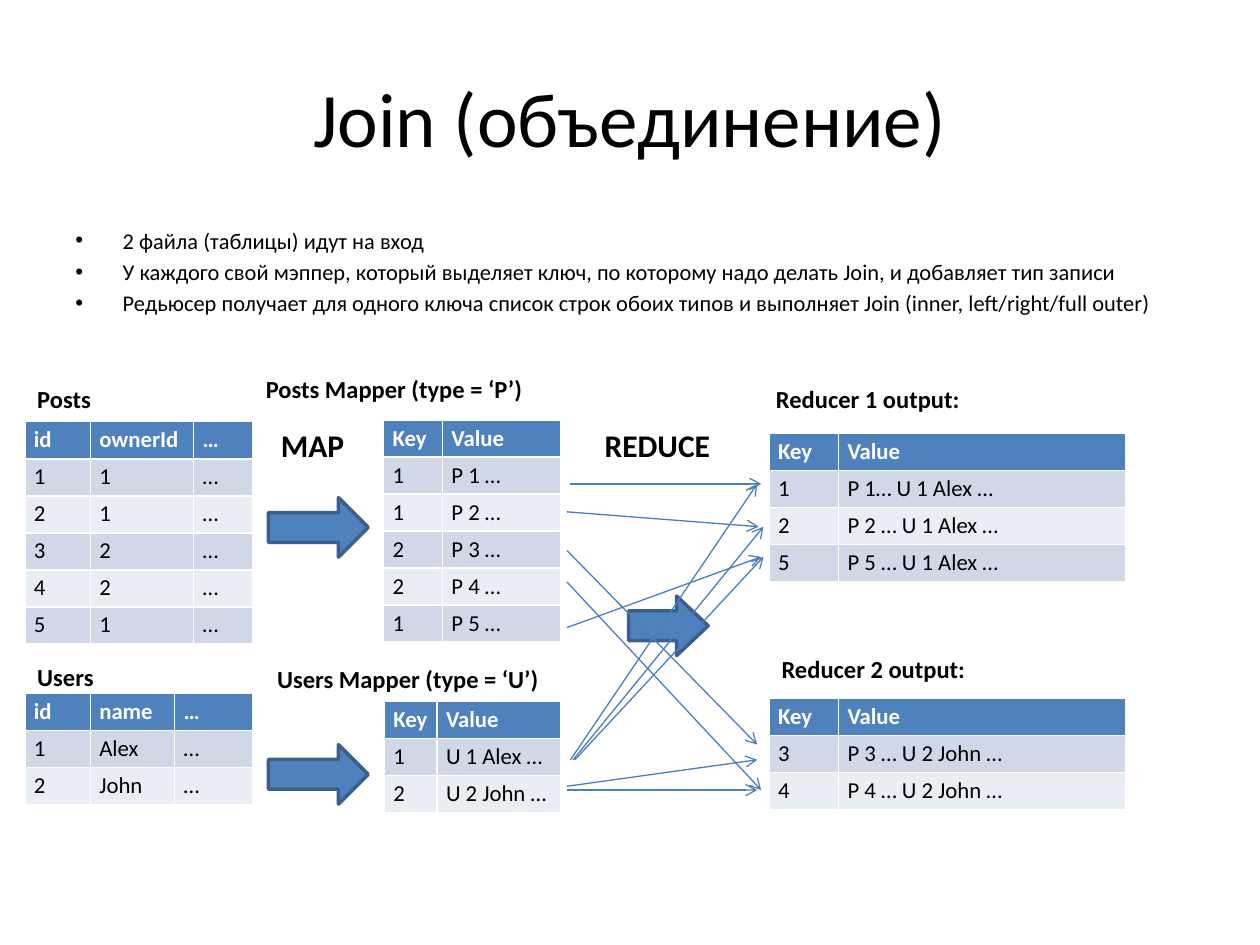
from lxml.etree import SubElement
from pptx import Presentation
from pptx.dml.color import RGBColor
from pptx.enum.shapes import MSO_CONNECTOR, MSO_SHAPE
from pptx.enum.text import MSO_ANCHOR, MSO_AUTO_SIZE, PP_ALIGN
from pptx.oxml.ns import qn
from pptx.util import Pt

COLORS = {
    "text": "000000",
    "header_text": "FFFFFF",
    "accent": "4F81BD",
    "outline": "3A5F8C",
    "link": "4B7EBC",
    "odd_row": "D0D8E8",
    "even_row": "E9EDF4",
}


class JoinSlide:
    font = "Calibri"
    row_height = 21.17
    label_size = 14
    cell_size = 13

    def __init__(self, presentation):
        self.slide = presentation.slides.add_slide(presentation.slide_layouts[5])
        self.shapes = self.slide.shapes

    def color(self, name):
        return RGBColor.from_string(COLORS[name])

    def styled_run(self, paragraph, words, size, color="text", bold=False):
        run = paragraph.add_run()
        run.text = words
        run.font.name = self.font
        run.font.size = Pt(size)
        run.font.bold = bold
        run.font.color.rgb = self.color(color)

    def title(self, words, left, top, width, height):
        heading = self.shapes.title
        heading.left, heading.top = Pt(left), Pt(top)
        heading.width, heading.height = Pt(width), Pt(height)
        heading.text_frame.vertical_anchor = MSO_ANCHOR.MIDDLE
        paragraph = heading.text_frame.paragraphs[0]
        paragraph.alignment = PP_ALIGN.CENTER
        self.styled_run(paragraph, words, 44)

    def bullets(self, lines, left, top, width, height, indent=27):
        box = self.shapes.add_textbox(Pt(left), Pt(top), Pt(width), Pt(height))
        frame = box.text_frame
        frame.word_wrap = True
        for number, line in enumerate(lines):
            paragraph = frame.add_paragraph() if number else frame.paragraphs[0]
            paragraph.space_before = Pt(2.5)
            properties = paragraph._p.get_or_add_pPr()
            properties.set("marL", str(Pt(indent)))
            properties.set("indent", str(-Pt(indent)))
            SubElement(properties, qn("a:buFont"), typeface="Arial")
            SubElement(properties, qn("a:buChar"), char="•")
            self.styled_run(paragraph, line, 12.8)

    def label(self, words, left, top, width, height=24.5, size=label_size, wrap=True):
        box = self.shapes.add_textbox(Pt(left), Pt(top), Pt(width), Pt(height))
        frame = box.text_frame
        frame.word_wrap = wrap
        frame.auto_size = MSO_AUTO_SIZE.SHAPE_TO_FIT_TEXT
        self.styled_run(frame.paragraphs[0], words, size, bold=True)

    def table(self, rows, left, top, widths):
        table = self.shapes.add_table(
            len(rows), len(widths), Pt(left), Pt(top),
            Pt(sum(widths)), Pt(self.row_height * len(rows))).table
        for column, width in zip(table.columns, widths):
            column.width = Pt(width)
        for row_number, values in enumerate(rows):
            table.rows[row_number].height = Pt(self.row_height)
            header = row_number == 0
            band = "accent" if header else "odd_row" if row_number % 2 else "even_row"
            for column_number, value in enumerate(values):
                cell = table.cell(row_number, column_number)
                cell.margin_left = cell.margin_right = Pt(5.2)
                cell.margin_top = cell.margin_bottom = Pt(2.6)
                cell.fill.solid()
                cell.fill.fore_color.rgb = self.color(band)
                self.styled_run(cell.text_frame.paragraphs[0], value, self.cell_size,
                                "header_text" if header else "text", header)

    def block_arrow(self, left, top, width, height=34, head=0.5):
        arrow = self.shapes.add_shape(
            MSO_SHAPE.RIGHT_ARROW, Pt(left), Pt(top), Pt(width), Pt(height))
        arrow.adjustments[1] = head
        arrow.shadow.inherit = False
        arrow.fill.solid()
        arrow.fill.fore_color.rgb = self.color("accent")
        arrow.line.color.rgb = self.color("outline")
        arrow.line.width = Pt(2)

    def link(self, start, end):
        link = self.shapes.add_connector(
            MSO_CONNECTOR.STRAIGHT, *(Pt(value) for value in start + end))
        link.line.color.rgb = self.color("link")
        link.line.width = Pt(0.75)
        SubElement(link.line._get_or_add_ln(), qn("a:tailEnd"), type="arrow")
        SubElement(link._element.spPr, qn("a:effectLst"))


def main():
    presentation = Presentation()
    presentation.slide_width, presentation.slide_height = Pt(720), Pt(540)
    join = JoinSlide(presentation)

    join.title("Join (объединение)", 36, 21.6, 648, 90)
    join.bullets([
        "2 файла (таблицы) идут на вход",
        "У каждого свой мэппер, который выделяет ключ, по которому надо делать Join, "
        "и добавляет тип записи",
        "Редьюсер получает для одного ключа список строк обоих типов и выполняет Join "
        "(inner, left/right/full outer)",
    ], 36, 126, 648, 70.5)

    owners = ["1", "1", "2", "2", "1"]
    key_value = ("Key", "Value")
    posts = [("id", "ownerId", "…")]
    posts += [(str(number), owner, "…") for number, owner in enumerate(owners, 1)]
    mapped_posts = [key_value]
    mapped_posts += [(owner, f"P {number} …") for number, owner in enumerate(owners, 1)]
    users = [("id", "name", "…"), ("1", "Alex", "…"), ("2", "John", "…")]
    mapped_users = [key_value, ("1", "U 1 Alex …"), ("2", "U 2 John …")]
    alex_posts = [key_value, ("1", "P 1… U 1 Alex …"),
                  ("2", "P 2 … U 1 Alex …"), ("5", "P 5 … U 1 Alex …")]
    john_posts = [key_value, ("3", "P 3 … U 2 John …"), ("4", "P 4 … U 2 John …")]

    for rows, left, top, widths in [
        (posts, 14.2, 241, (37.4, 59, 33.9)),
        (mapped_posts, 219.2, 240, (33.6, 67.7)),
        (mapped_users, 219.6, 400.9, (30.1, 70.6)),
        (users, 14.2, 396.3, (37.4, 48.2, 44.6)),
        (alex_posts, 439.5, 247.8, (39.6, 164.2)),
        (john_posts, 439.5, 399.1, (39.6, 164.2)),
    ]:
        join.table(rows, left, top, widths)

    for words, left, top, width in [
        ("Posts", 14.2, 216, 86.4),
        ("Users", 14.2, 374.6, 86.4),
        ("Posts Mapper (type = ‘P’)", 144.8, 210.3, 198),
        ("Users Mapper (type = ‘U’)", 151.2, 375.8, 186.5),
        ("Reducer 1 output:", 436.3, 216, 198),
        ("Reducer 2 output:", 439.5, 370, 198),
    ]:
        join.label(words, left, top, width)
    join.label("MAP", 153.4, 239.8, 51.1, 29, 18, wrap=False)
    join.label("REDUCE", 338.4, 239.8, 75.6, 29, 18, wrap=False)

    for top in (284.4, 425.5):
        join.block_arrow(153.4, top, 57)
    join.block_arrow(359.3, 340.6, 45.4, head=0.53)

    for start, end in [
        ((326, 276.5), (435, 276.5)),
        ((324, 292.5), (433.5, 301)),
        ((324, 314.6), (432.7, 425.5)),
        ((324, 332.6), (435, 451.5)),
        ((324, 358.6), (435, 318.2)),
        ((326, 434.2), (432.7, 276.5)),
        ((327.5, 434.2), (436.3, 301)),
        ((328.5, 434.2), (436.3, 318.2)),
        ((324, 449.3), (432.7, 434.2)),
        ((324, 451.5), (432.7, 451.5)),
    ]:
        join.link(start, end)

    presentation.save("out.pptx")


if __name__ == "__main__":
    main()
